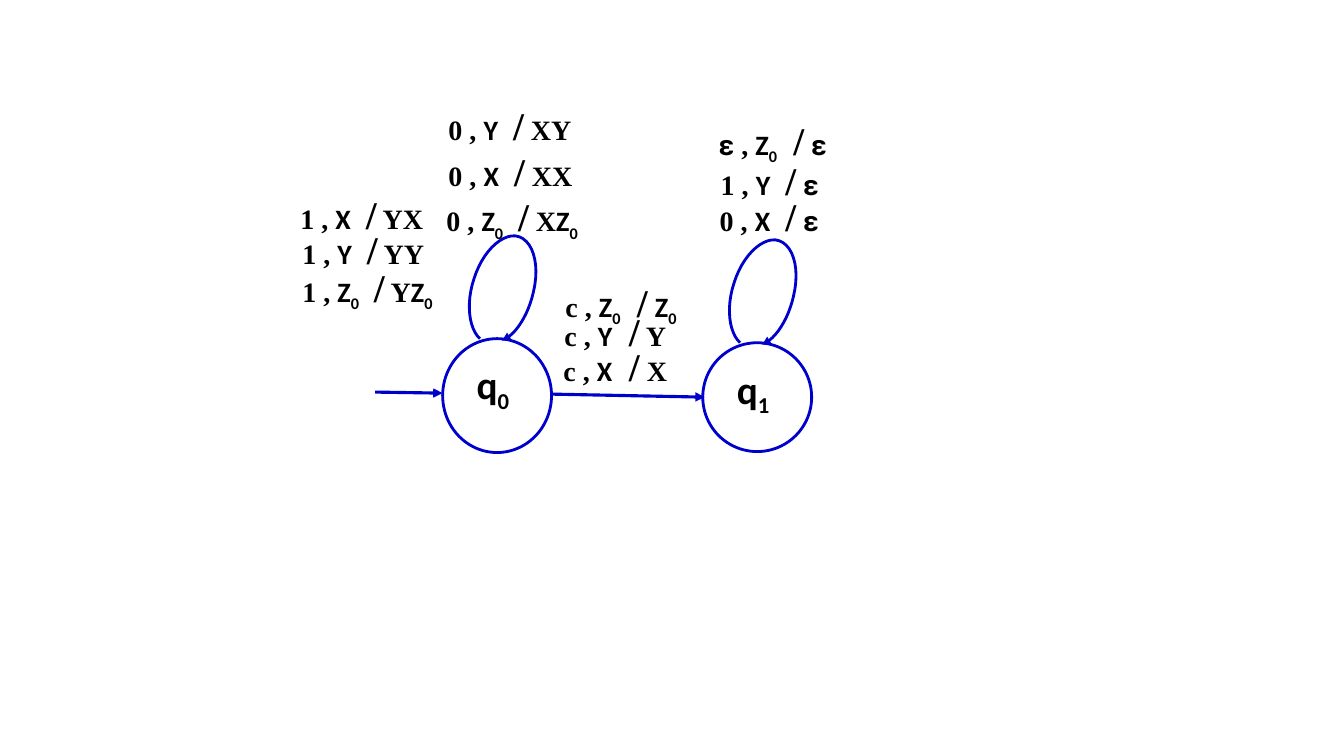
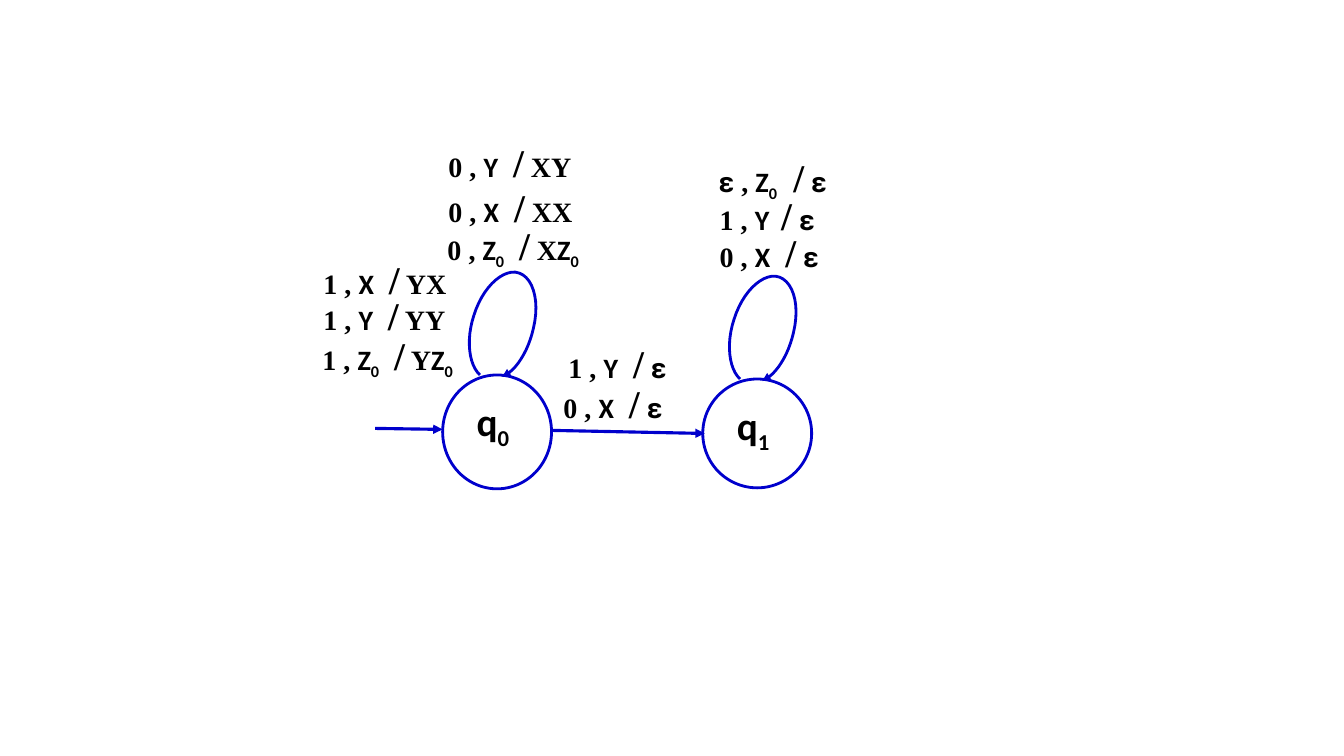
from itertools import groupby

from lxml import etree
from pptx import Presentation
from pptx.dml.color import RGBColor
from pptx.enum.shapes import MSO_CONNECTOR, MSO_SHAPE
from pptx.oxml.ns import qn
from pptx.util import Emu, Pt

OVAL = MSO_SHAPE.OVAL
STRAIGHT = MSO_CONNECTOR.STRAIGHT
PX = 9144
BLUE, BLACK = "0000CC", "000000"
SERIF, SANS, GREEK = "Times New Roman", "Calibri", "Roboto"
SLASH_TAB = {"X": 65, "Y": 64, "Z0": 71}
LOOP_START = (37, 0)
LOOP_CURVES = [
    ((26, -10), (23, -35), (31, -59)),
    ((39, -85), (57, -103), (72, -102)),
    ((89, -100), (97, -75), (90, -46)),
    ((85, -24), (73, -4), (59, 2)),
]
CURVE_STEPS = 12

PUSH_LABELS = [(147, 0, "0", "Y", "XY"), (147, 45, "0", "X", "XX")]
WITH_MARKER = PUSH_LABELS + [
    (145, 90, "0", "Z0", "XZ0"),
    (0, 88, "1", "X", "YX"),
    (2, 123, "1", "Y", "YY"),
    (2, 160, "1", "Z0", "YZ0"),
    (263, 175, "c", "Z0", "Z0"),
    (262, 204, "c", "Y", "Y"),
    (261, 239, "c", "X", "X"),
    (415, 14, "ε", "Z0", "ε", 74),
    (417, 54, "1", "Y", "ε"),
    (416, 90, "0", "X", "ε"),
]
WITHOUT_MARKER = PUSH_LABELS + [
    (146, 82, "0", "Z0", "XZ0"),
    (23, 116, "1", "X", "YX"),
    (23, 152, "1", "Y", "YY"),
    (22, 191, "1", "Z0", "YZ0"),
    (266, 200, "1", "Y", "ε"),
    (261, 239, "0", "X", "ε"),
    (415, 15, "ε", "Z0", "ε", 74),
    (416, 53, "1", "Y", "ε", 61),
    (416, 90, "0", "X", "ε"),
]


def px(n):
    """Turn pixels into EMU."""
    return Emu(round(n * PX))


def rgb(value):
    """Turn a hex string into a colour."""
    return RGBColor.from_string(value)


def style_line(sp, width, arrow=False):
    """Give a shape its blue outline, with an arrowhead at the end if asked."""
    sp.line.color.rgb = rgb(BLUE)
    sp.line.width = Pt(width)
    if arrow:
        ln = sp.line._get_or_add_ln()
        etree.SubElement(ln, qn("a:tailEnd"), type="triangle")


def add_text(slide, x, y, w, h):
    """Add a text box and return its first paragraph."""
    tf = slide.shapes.add_textbox(px(x), px(y), px(w), px(h)).text_frame
    tf.word_wrap = True
    p = tf.paragraphs[0]
    p.space_after = Pt(10)
    return p


def add_run(p, text, font, size=20, sub=False):
    """Add one bold run, lowered if it is a subscript."""
    r = p.add_run()
    r.text = text
    r.font.name = font
    r.font.size = Pt(size)
    r.font.bold = True
    r.font.color.rgb = rgb(BLACK)
    if sub:
        r.font._element.set("baseline", "-25000")


def add_symbols(p, text, letter_font):
    """Add stack symbols, choosing the font and subscript of each."""
    fonts = {"Z": SANS, "0": SANS, "ε": GREEK}
    for (font, sub), chars in groupby(
        text, lambda c: (fonts.get(c, letter_font), c == "0")
    ):
        add_run(p, "".join(chars), font, sub=sub)


def add_label(slide, x, y, read, top, push, tab=None):
    """Add a transition label: symbol read, stack top, symbols pushed."""
    p = add_text(slide, x, y, 186, 62)
    p.line_spacing = 1.15
    tabs = etree.SubElement(p._p.get_or_add_pPr(), qn("a:tabLst"))
    stop = px(tab or SLASH_TAB[top])
    etree.SubElement(tabs, qn("a:tab"), pos=str(stop), algn="l")
    add_run(p, read, GREEK if read == "ε" else SERIF)
    add_run(p, " , ", SERIF)
    add_symbols(p, top, SANS)
    add_run(p, "\t/", SERIF, 28)
    add_run(p, " ", SERIF)
    add_symbols(p, push, SERIF)


def add_arrow(slide, x1, y1, x2, y2):
    """Add a straight arrow."""
    s = slide.shapes.add_connector(STRAIGHT, px(x1), px(y1), px(x2), px(y2))
    style_line(s, 2.25, arrow=True)
    etree.SubElement(s._element.spPr, qn("a:effectLst"))


def loop_points():
    """Return the points along the loop curves, after the start."""
    points, p0 = [], LOOP_START
    for p1, p2, p3 in LOOP_CURVES:
        for step in range(1, CURVE_STEPS + 1):
            t = step / CURVE_STEPS
            u = 1 - t
            points.append(tuple(
                u**3 * a + 3 * u * u * t * b + 3 * u * t * t * c + t**3 * d
                for a, b, c, d in zip(p0, p1, p2, p3)
            ))
        p0 = p3
    return points


def add_state(slide, x, y, height, index):
    """Add a state circle with its name and the loop above it."""
    circle = slide.shapes.add_shape(OVAL, px(x), px(y), px(108), px(height))
    start_x, start_y = LOOP_START
    builder = slide.shapes.build_freeform(px(x + start_x), px(y + start_y))
    builder.add_line_segments(
        [(px(x + dx), px(y + dy)) for dx, dy in loop_points()], close=False
    )
    loop = builder.convert_to_shape()
    for s in (circle, loop):
        s.shadow.inherit = False
        s.fill.background()
        style_line(s, 2, arrow=s is loop)
    p = add_text(slide, x + 24, y + 17, 66, 51)
    add_run(p, "q", SANS, 28)
    add_run(p, index, SANS, 28, sub=True)


def add_automaton(slide, left, top, labels):
    """Add a two-state pushdown automaton in the box at left, top."""
    add_state(slide, left + 151, top + 247, 113, "0")
    add_state(slide, left + 409, top + 251, 108, "1")
    for x1, y1, x2, y2 in [(84, 300, 151, 301), (259, 302, 411, 305)]:
        add_arrow(slide, left + x1, top + y1, left + x2, top + y2)
    for x, y, *parts in labels:
        add_label(slide, left + x, top + y, *parts)


def main():
    """Build the two slides and save them."""
    prs = Presentation()
    prs.slide_width, prs.slide_height = px(1333), px(750)
    blank = prs.slide_layouts[6]
    for top, labels in [(89, WITH_MARKER), (125, WITHOUT_MARKER)]:
        add_automaton(prs.slides.add_slide(blank), 288, top, labels)
    prs.save("out.pptx")


if __name__ == "__main__":
    main()
